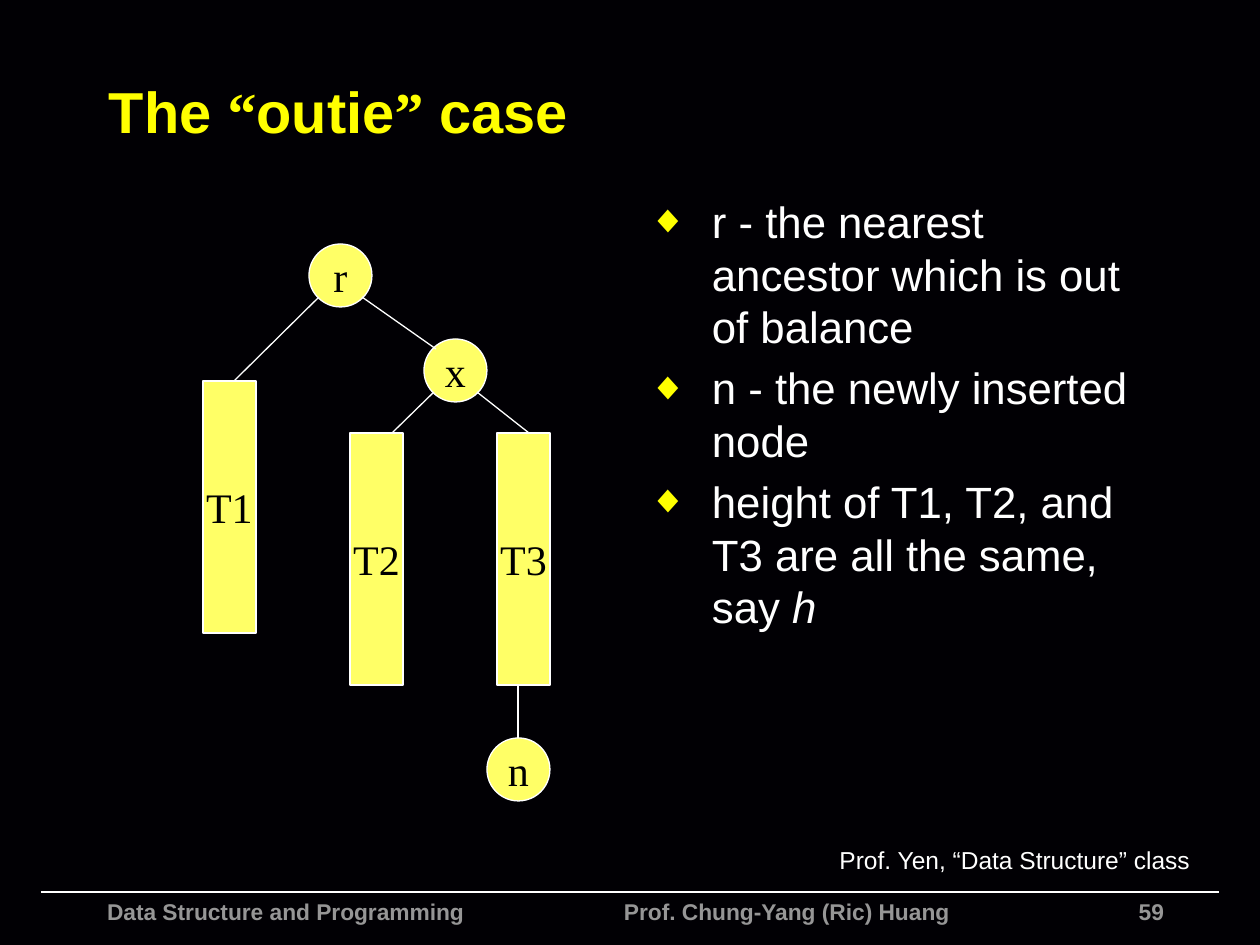
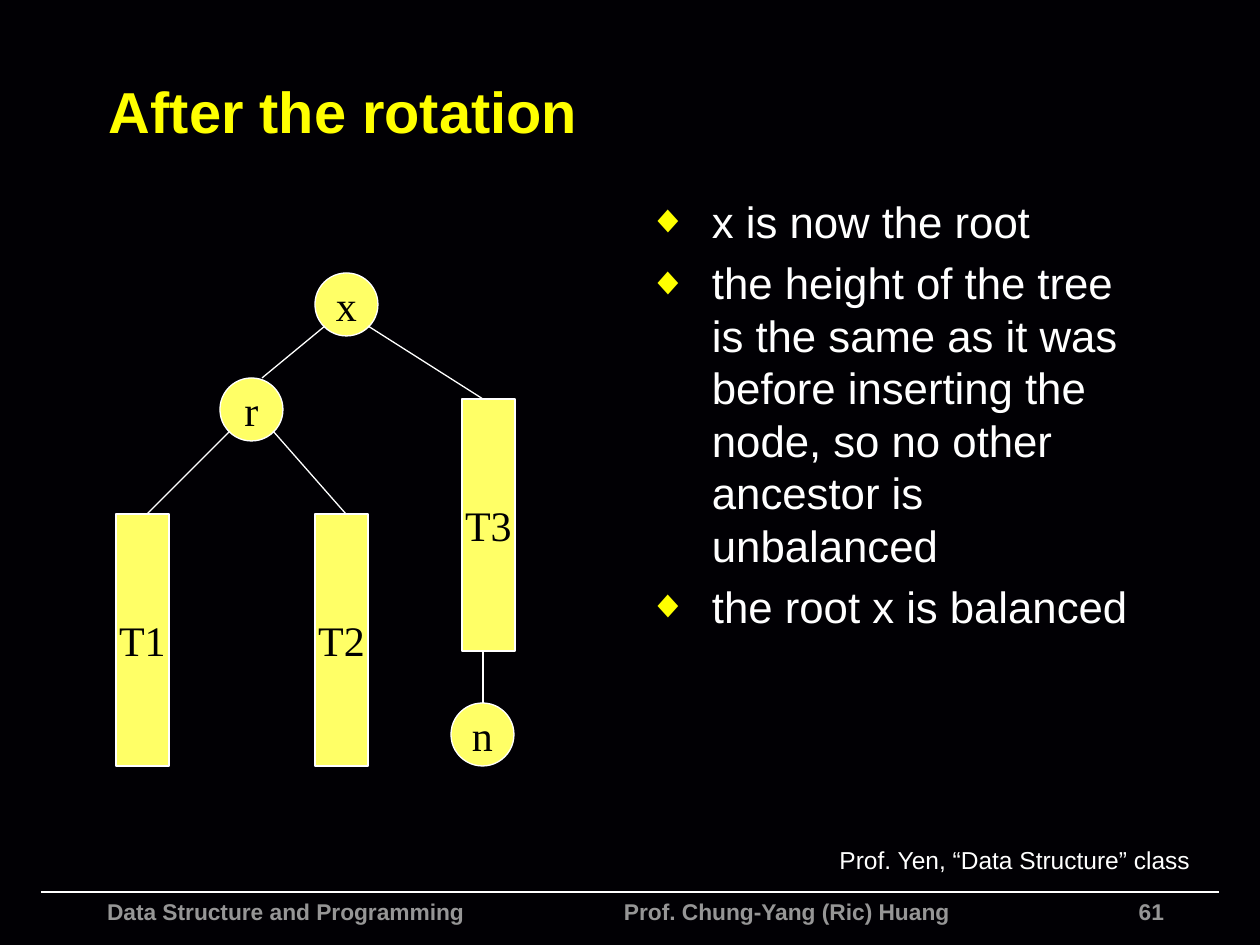
from lxml import etree
from pptx import Presentation
from pptx import util as u
from pptx.dml.color import RGBColor
from pptx.enum import shapes, text
from pptx.oxml import ns

PX = 914400 / 126
WIDTH, HEIGHT = 1260, 945

BACKDROP = RGBColor(0x01, 0x00, 0x04)
WHITE = RGBColor(0xFF, 0xFF, 0xFF)
BLACK = RGBColor(0x00, 0x00, 0x00)
YELLOW = RGBColor(0xFF, 0xFF, 0x00)
NODE_FILL = RGBColor(0xFF, 0xFF, 0x66)
GREY = RGBColor(0x96, 0x96, 0x96)

SANS, SERIF = "Arial", "Times New Roman"
INSET = (13, 6)
NODE_SIZE = (63, 63)
SUBTREE_SIZE = (53, 252)
# Where an edge leaves its parent, measured from the parent's top left corner
EXITS = {"left": (10, 53), "right": (53, 53), "below": (21, 252)}

# Trees: parts give label -> top left; edges give parent, exit, child, entry point
OUTIE_TREE = {
    "parts": {"r": (309, 244), "x": (424, 339), "T1": (203, 381),
              "T2": (350, 433), "T3": (497, 433), "n": (487, 738)},
    "edges": [("r", "left", "T1", (31, 0)), ("r", "right", "x", (12, 10)),
              ("x", "left", "T2", (42, 0)), ("x", "right", "T3", (32, 0)),
              ("T3", "below", "n", (31, 0))],
}
ROTATED_TREE = {
    "parts": {"r": (220, 378), "x": (315, 273), "T1": (116, 514),
              "T2": (315, 514), "T3": (462, 399), "n": (451, 703)},
    "edges": [("r", "left", "T1", (31, 0)), ("x", "left", "r", (42, 0)),
              ("r", "right", "T2", (31, 0)), ("x", "right", "T3", (21, 0)),
              ("T3", "below", "n", (32, 0))],
}


def px(*lengths):
    return [u.Emu(round(length * PX)) for length in lengths]


def add_span(para, words, size, color, font=SANS, bold=False, italic=False):
    span = para.add_run()
    span.text = words
    span.font.name, span.font.size = font, u.Pt(size)
    span.font.bold, span.font.italic = bold, italic
    span.font.color.rgb = color


def set_frame(frame, inset=INSET, wrap=True, anchor=text.MSO_ANCHOR.TOP):
    frame.word_wrap = wrap
    frame.auto_size = text.MSO_AUTO_SIZE.NONE
    frame.vertical_anchor = anchor
    frame.margin_left, frame.margin_top = px(*inset)
    frame.margin_right, frame.margin_bottom = px(*inset)


def place(shape, left, top, width, height):
    shape.left, shape.top, shape.width, shape.height = px(left, top, width, height)


def add_label(page, area, words, size, color, align, bold=False, **frame_options):
    box = page.shapes.add_textbox(*px(*area))
    set_frame(box.text_frame, **frame_options)
    para = box.text_frame.paragraphs[0]
    para.alignment = align
    add_span(para, words, size, color, bold=bold)
    return box


def add_line(page, start, end, weight):
    line = page.shapes.add_connector(shapes.MSO_CONNECTOR.STRAIGHT, *px(*start, *end))
    line.line.color.rgb, line.line.width = WHITE, u.Pt(weight)
    etree.SubElement(line.element.spPr, ns.qn("a:effectLst"))


def add_ppr_child(parent, tag, **attributes):
    child = etree.SubElement(parent, ns.qn(tag))
    for name, value in attributes.items():
        child.set(name, str(value))
    return child


def add_footer(page, number):
    add_line(page, (41, 892), (1219, 892), 1)
    add_label(page, (777, 892, 400, 23), number, 13, GREY, text.PP_ALIGN.RIGHT, bold=True)
    footer = add_label(page, (94, 892, 912, 53),
                       "Data Structure and Programming\tProf. Chung-Yang (Ric) Huang",
                       13, GREY, text.PP_ALIGN.LEFT, bold=True)
    ppr = footer.text_frame.paragraphs[0]._p.get_or_add_pPr()
    tabs = add_ppr_child(ppr, "a:tabLst")
    add_ppr_child(tabs, "a:tab", pos=px(517)[0], algn="l")


def add_credit(page):
    box = add_label(page, (833, 839, 364, 42), "Prof. Yen, “Data Structure” class",
                    14, WHITE, text.PP_ALIGN.CENTER, inset=(6, 6), wrap=False)
    box.text_frame.auto_size = text.MSO_AUTO_SIZE.SHAPE_TO_FIT_TEXT


def fill_title(page, spans):
    title = page.shapes.title
    place(title, 96, 47, 1114, 127)
    set_frame(title.text_frame, anchor=text.MSO_ANCHOR.MIDDLE)
    para = title.text_frame.paragraphs[0]
    para.alignment = text.PP_ALIGN.LEFT
    for words, font in spans:
        add_span(para, words, 33, YELLOW, font, bold=True)


def set_bullet(para):
    ppr = para._p.get_or_add_pPr()
    indent = px(63)[0]
    ppr.set("marL", str(indent))
    ppr.set("indent", str(-indent))
    color = add_ppr_child(ppr, "a:buClr")
    add_ppr_child(color, "a:srgbClr", val=YELLOW)
    add_ppr_child(ppr, "a:buSzPct", val=90000)
    add_ppr_child(ppr, "a:buFont", typeface=SANS)
    add_ppr_child(ppr, "a:buChar", char="◆")


def fill_bullets(page, items):
    body = page.placeholders[1]
    place(body, 636, 189, 525, 651)
    frame = body.text_frame
    set_frame(frame)
    for index, spans in enumerate(items):
        para = frame.add_paragraph() if index else frame.paragraphs[0]
        set_bullet(para)
        para.alignment = text.PP_ALIGN.LEFT
        para.line_spacing = u.Pt(30)
        para.space_before = u.Pt(5 if index else 0)
        for words, italic in spans:
            add_span(para, words, 25, WHITE, italic=italic)


def add_tree_part(page, label, corner):
    subtree = label.startswith("T")
    kind = shapes.MSO_SHAPE.RECTANGLE if subtree else shapes.MSO_SHAPE.OVAL
    size = SUBTREE_SIZE if subtree else NODE_SIZE
    part = page.shapes.add_shape(kind, *px(*corner, *size))
    part.shadow.inherit = False
    part.fill.solid()
    part.fill.fore_color.rgb = NODE_FILL
    part.line.color.rgb, part.line.width = WHITE, u.Pt(0.75)
    set_frame(part.text_frame, (0, 0), wrap=False, anchor=text.MSO_ANCHOR.MIDDLE)
    para = part.text_frame.paragraphs[0]
    para.alignment = text.PP_ALIGN.CENTER
    add_span(para, label, 24, BLACK, SERIF)


def add_tree(page, tree):
    parts = tree["parts"]
    for label, corner in parts.items():
        add_tree_part(page, label, corner)
    for parent, side, child, entry in tree["edges"]:
        start = [a + b for a, b in zip(parts[parent], EXITS[side])]
        end = [a + b for a, b in zip(parts[child], entry)]
        add_line(page, start, end, 0.75)


def add_page(deck, number, title, items, tree):
    page = deck.slides.add_slide(deck.slide_layouts[1])
    add_footer(page, number)
    fill_title(page, title)
    fill_bullets(page, items)
    add_tree(page, tree)
    add_credit(page)


def main():
    deck = Presentation()
    deck.slide_width, deck.slide_height = px(WIDTH, HEIGHT)
    backdrop = deck.slide_master.background.fill
    backdrop.solid()
    backdrop.fore_color.rgb = BACKDROP

    # Before the rotation
    add_page(deck, "59",
             [("The ", SANS), ("“", SERIF), ("outie", SANS), ("”", SERIF), (" case", SANS)],
             [[("r - the nearest ancestor which is out of balance", False)],
              [("n - the newly inserted node", False)],
              [("height of T1, T2, and T3 are all the same, say ", False), ("h", True)]],
             OUTIE_TREE)

    # After the rotation
    add_page(deck, "61",
             [("After the rotation", SANS)],
             [[("x is now the root", False)],
              [("the height of the tree is the same as it was before inserting the node, "
                "so no other ancestor is unbalanced", False)],
              [("the root x is balanced", False)]],
             ROTATED_TREE)

    deck.save("out.pptx")


if __name__ == "__main__":
    main()
